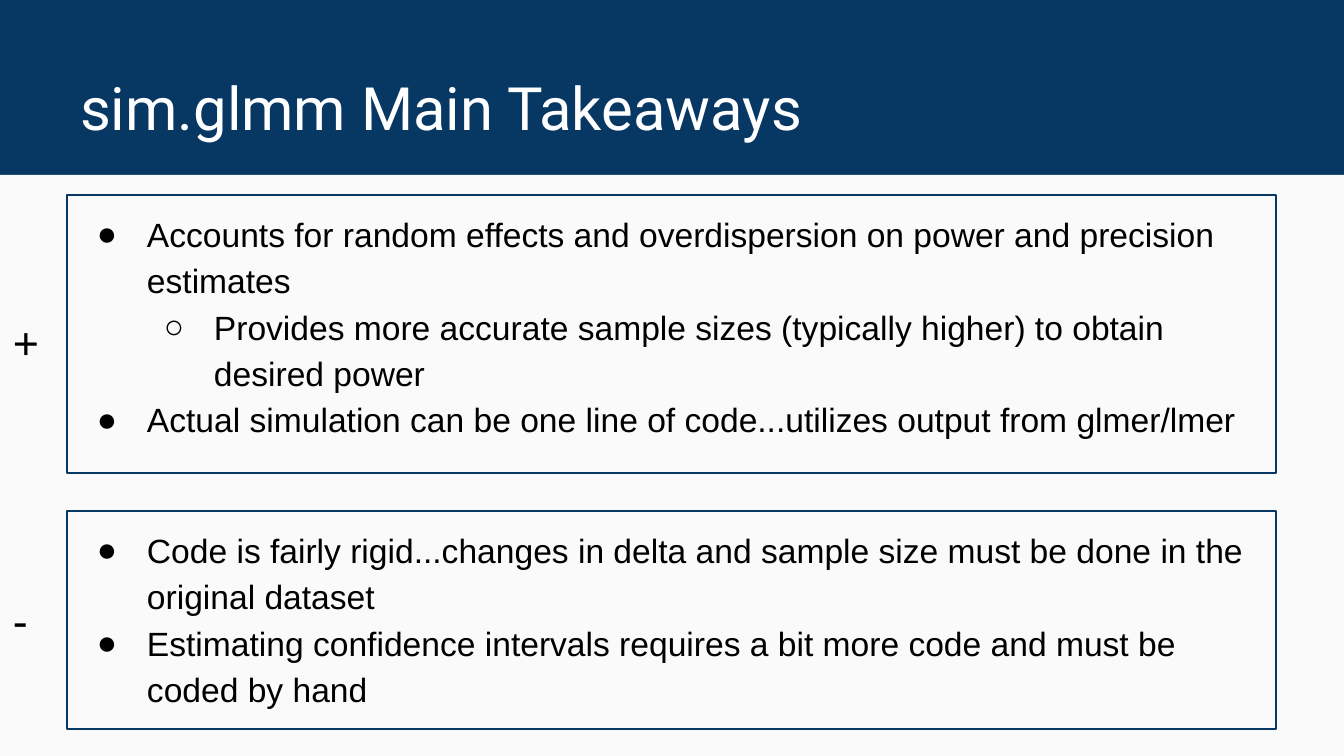
from lxml import etree
from pptx import Presentation
from pptx.dml.color import RGBColor
from pptx.enum.shapes import MSO_SHAPE
from pptx.enum.text import MSO_ANCHOR, PP_ALIGN
from pptx.oxml.ns import qn
from pptx.util import Pt

EMU_PER_PX = 914400 / 134.4
NAVY = RGBColor(0x07, 0x37, 0x63)
PAPER = RGBColor(0xFA, 0xFA, 0xFA)
WHITE = RGBColor(0xFF, 0xFF, 0xFF)
BLACK = RGBColor(0, 0, 0)

INSET = 13
INDENT = 67
HANGING = 50
BULLETS = "●○"

# Each point is (level, text)
STRENGTHS = [
    (0, "Accounts for random effects and overdispersion on power and precision estimates"),
    (1, "Provides more accurate sample sizes (typically higher) to obtain desired power"),
    (0, "Actual simulation can be one line of code...utilizes output from glmer/lmer"),
]
WEAKNESSES = [
    (0, "Code is fairly rigid...changes in delta and sample size must be done in the original dataset"),
    (0, "Estimating confidence intervals requires a bit more code and must be coded by hand"),
]


def px(length):
    return round(length * EMU_PER_PX)


def set_frame(frame, anchor):
    frame.word_wrap = True
    frame.vertical_anchor = anchor
    frame.margin_left = frame.margin_right = px(INSET)
    frame.margin_top = frame.margin_bottom = px(INSET)


def style_runs(paragraph, font, size, color):
    for run in paragraph.runs:
        run.font.name = font
        run.font.size = Pt(size)
        run.font.color.rgb = color


def add_rectangle(slide, box):
    rectangle = slide.shapes.add_shape(MSO_SHAPE.RECTANGLE, *map(px, box))
    rectangle.shadow.inherit = False
    return rectangle


def add_label(slide, box, text, font, size, color, anchor):
    frame = slide.shapes.add_textbox(*map(px, box)).text_frame
    set_frame(frame, anchor)
    frame.text = text
    style_runs(frame.paragraphs[0], font, size, color)


def set_bullet(paragraph, level):
    paragraph.level = level
    properties = paragraph._p.get_or_add_pPr()
    properties.set("marL", str(px(INDENT * (level + 1))))
    properties.set("indent", str(-px(HANGING)))
    color = etree.SubElement(properties, qn("a:buClr"))
    etree.SubElement(color, qn("a:srgbClr"), val=str(BLACK))
    etree.SubElement(properties, qn("a:buFont"), typeface="Arial")
    etree.SubElement(properties, qn("a:buChar"), char=BULLETS[level])


def add_points_box(slide, top, height, points):
    panel = add_rectangle(slide, (67, top, 1209, height))
    panel.fill.background()
    panel.line.color.rgb = NAVY
    panel.line.width = Pt(0.75)
    frame = panel.text_frame
    set_frame(frame, MSO_ANCHOR.TOP)
    frame.text = "\n".join(text for _, text in points)
    for index, (level, _) in enumerate(points):
        paragraph = frame.paragraphs[index]
        paragraph.alignment = PP_ALIGN.LEFT
        paragraph.line_spacing = 1.15
        paragraph.space_before = Pt(0 if index else 10)
        set_bullet(paragraph, level)
        style_runs(paragraph, "Arial", 18, BLACK)


def main():
    presentation = Presentation()
    presentation.slide_width = px(1344)
    presentation.slide_height = px(756)
    slide = presentation.slides.add_slide(presentation.slide_layouts[6])
    slide.background.fill.solid()
    slide.background.fill.fore_color.rgb = NAVY

    content_area = add_rectangle(slide, (0, 175, 1344, 581))
    content_area.fill.solid()
    content_area.fill.fore_color.rgb = PAPER
    content_area.line.fill.background()

    add_label(slide, (67, 0, 1209, 156), "sim.glmm Main Takeaways",
              "Roboto", 32, WHITE, MSO_ANCHOR.BOTTOM)
    add_points_box(slide, 195, 278, STRENGTHS)
    add_points_box(slide, 511, 218, WEAKNESSES)
    add_label(slide, (0, 302, 51, 62), "+", "Arial", 24, BLACK, MSO_ANCHOR.TOP)
    add_label(slide, (0, 563, 51, 114), "-", "Arial", 24, BLACK, MSO_ANCHOR.MIDDLE)

    presentation.save("out.pptx")


if __name__ == "__main__":
    main()
